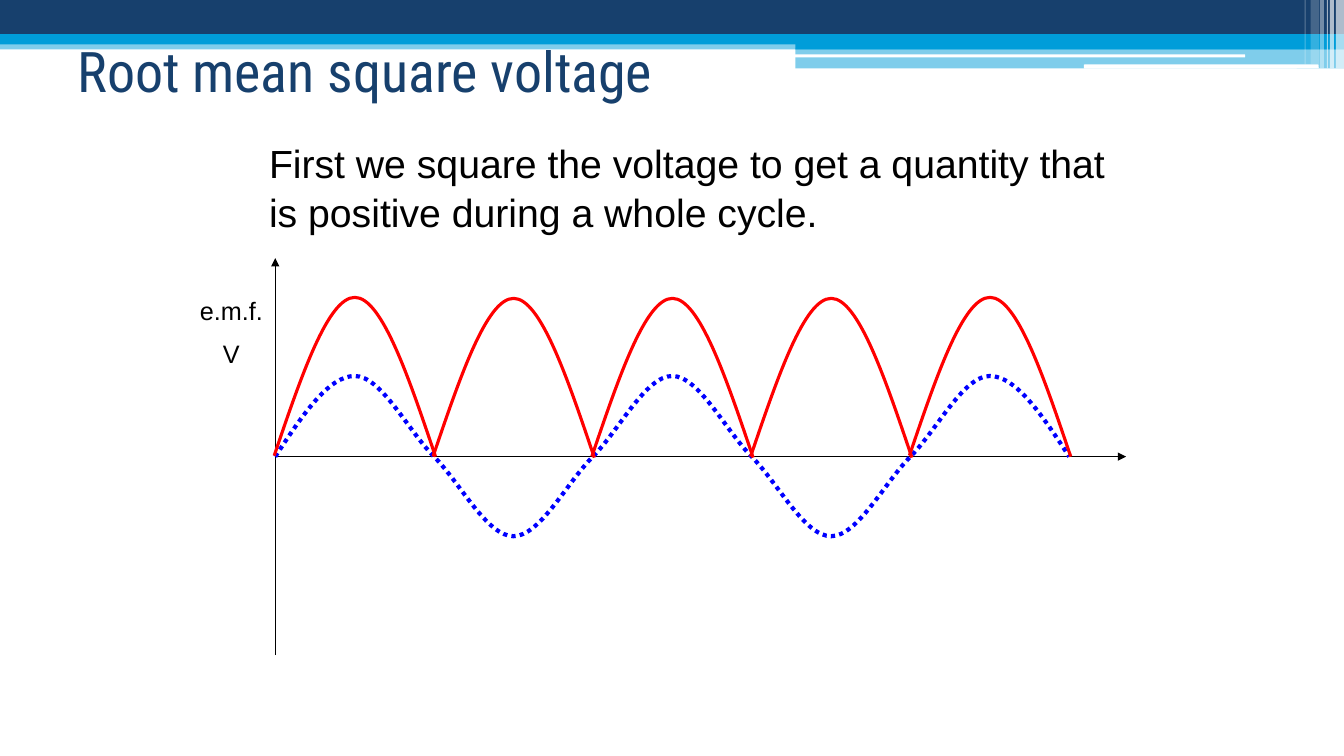
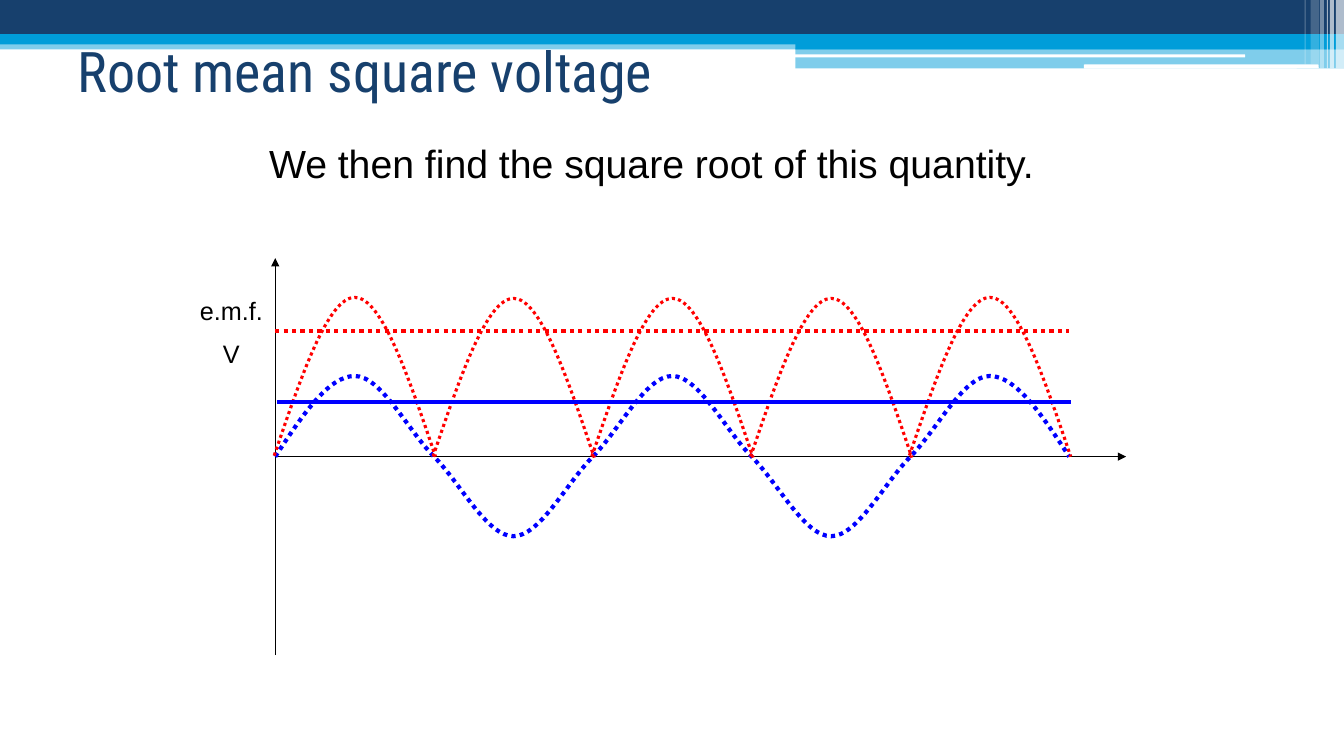
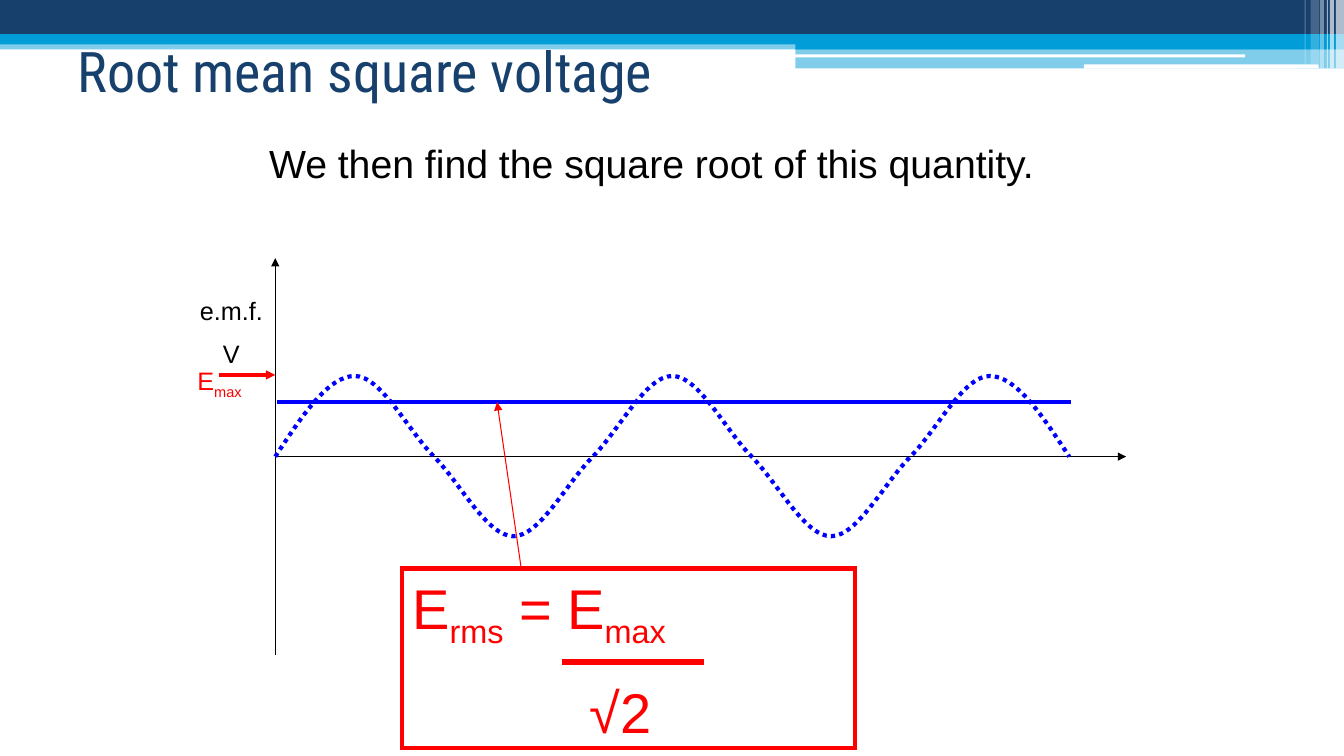
from lxml import etree
from pptx import Presentation
from pptx.dml.color import RGBColor
from pptx.enum.dml import MSO_LINE
from pptx.enum.shapes import MSO_CONNECTOR, MSO_SHAPE
from pptx.enum.text import MSO_ANCHOR, PP_ALIGN
from pptx.oxml.ns import qn
from pptx.util import Emu, Pt

RECT, ROUND = MSO_SHAPE.RECTANGLE, MSO_SHAPE.ROUNDED_RECTANGLE
STRAIGHT, DOT = MSO_CONNECTOR.STRAIGHT, MSO_LINE.ROUND_DOT
TOP, MIDDLE = MSO_ANCHOR.TOP, MSO_ANCHOR.MIDDLE
LEFT, CENTER = PP_ALIGN.LEFT, PP_ALIGN.CENTER

# Shared look: 100 px to the inch
SCALE = 9144
WIDE, HIGH = 1333, 750
NAVY, SKY, WHITE, BLACK = "17406D", "009DD9", "FFFFFF", "000000"
RED, BLUE = "FF0000", "0000FF"
BODY, HEAD = "Arial", "Roboto Condensed"

# Header bands: shape, box, colour, opacity in percent
BANDS = [
    (RECT, (0, 40, WIDE, 9), SKY, 50),
    (RECT, (0, 0, WIDE, 34), NAVY, 100),
    (RECT, (0, 34, WIDE, 10), SKY, 100),
    (RECT, (789, 39, 544, 10), SKY, 100),
    (RECT, (789, 48, 544, 20), SKY, 50),
    (ROUND, (788, 54, 447, 3), WHITE, 100),
    (ROUND, (1075, 64, 233, 4), WHITE, 100),
    (RECT, (1325, 0, 8, 68), WHITE, 65),
    (RECT, (1319, 0, 4, 68), WHITE, 65),
    (RECT, (1316, 0, 1, 68), WHITE, 60),
    (RECT, (1309, 0, 4, 68), WHITE, 40),
    (RECT, (1300, 0, 8, 64), WHITE, 20),
    (RECT, (1294, 0, 1, 64), WHITE, 30),
]

# Content
TITLE = "Root mean square voltage"
SQUARE = ("First we square the voltage to get a quantity that "
          "is positive during a whole cycle.")
ROOT = "We then find the square root of this quantity."
AXIS = [[("e.m.f.", False)], [("V", False)]]
PEAK = [[("E", False), ("max", True)]]
RMS = [[("E", False), ("rms", True), (" = E", False), ("max", True)],
       [("√2", False)]]

# body text, hump style (None: no humps), mean line, rms line, formula
SLIDES = [
    (SQUARE, "solid", False, False, False),
    (ROOT, "dotted", True, True, False),
    (ROOT, None, False, True, True),
]

# Graph geometry
ORIGIN, ZERO, HALF, COUNT = 273, 453, 157.5, 5
CREST, TROUGH = 373, 532
FEET, RISE, SPAN = [452, 453, 453, 453, 452], 157, 160


def px(n):
    return Emu(round(n * SCALE))


def rgb(code):
    return RGBColor.from_string(code)


def flat(shape, code, alpha=100):
    shape.shadow.inherit = False
    shape.line.fill.background()
    shape.fill.solid()
    shape.fill.fore_color.rgb = rgb(code)
    if alpha < 100:
        tint = shape.fill._xPr.find(qn("a:solidFill"))[0]
        etree.SubElement(tint, qn("a:alpha")).set("val", str(alpha * 1000))


def stroke(shape, code, width, dots=False):
    shape.line.color.rgb = rgb(code)
    shape.line.width = Pt(width)
    if dots:
        shape.line.dash_style = DOT


def line(slide, start, end, code, width, dots=False, arrow=False):
    link = slide.shapes.add_connector(STRAIGHT, *map(px, start + end))
    stroke(link, code, width, dots)
    if arrow:
        tail = etree.SubElement(link.line._get_or_add_ln(), qn("a:tailEnd"))
        tail.set("type", "triangle")
    etree.SubElement(link._element.spPr, qn("a:effectLst"))


def write(shape, paras, size, code, font=BODY, align=LEFT, anchor=TOP, gap=0):
    """Fill a shape with paragraphs made of (text, is subscript) runs."""
    frame = shape.text_frame
    frame.word_wrap = True
    frame.vertical_anchor = anchor
    for i, parts in enumerate(paras):
        para = frame.add_paragraph() if i else frame.paragraphs[0]
        para.alignment = align
        if i:
            para.space_before = Pt(gap)
        for text, low in parts:
            run = para.add_run()
            run.text = text
            run.font.name, run.font.size = font, Pt(size)
            run.font.color.rgb = rgb(code)
            if low:
                run._r.get_or_add_rPr().set("baseline", "-25000")
    return frame


def label(slide, box, paras, size, code, **look):
    shape = slide.shapes.add_textbox(*map(px, box))
    return write(shape, paras, size, code, **look)


def inset(para, left):
    props = para._p.get_or_add_pPr()
    props.set("marL", str(px(left)))
    props.set("indent", "0")


def curve(slide, left, step, levels, code, width, dots):
    """Draw a smooth cubic spline through evenly spaced levels."""
    last = len(levels) - 1
    slopes = [(levels[i + 1] - levels[i - 1]) / 2 for i in range(1, last)]
    slopes = [1.5 * (levels[1] - levels[0]), *slopes,
              1.5 * (levels[last] - levels[last - 1])]
    points = [(left, levels[0])]
    for i in range(last):
        x = left + i * step
        points += [(x + step / 3, levels[i] + slopes[i] / 3),
                   (x + step * 2 / 3, levels[i + 1] - slopes[i + 1] / 3),
                   (x + step, levels[i + 1])]
    points = [(px(x), px(y)) for x, y in points]
    path = slide.shapes.build_freeform(*points[0])
    path.add_line_segments(points[1:], close=False)
    shape = path.convert_to_shape()
    # Join each three straight steps into one cubic curve
    steps = list(shape._element.iter(qn("a:lnTo")))
    for i in range(0, len(steps), 3):
        bend = etree.SubElement(steps[i].getparent(), qn("a:cubicBezTo"))
        for part in steps[i:i + 3]:
            bend.append(part[0])
            part.getparent().remove(part)
    shape.shadow.inherit = False
    shape.fill.background()
    stroke(shape, code, width, dots)


def frame(slide, text):
    """Header bands, title and body text."""
    for kind, box, code, alpha in BANDS:
        flat(slide.shapes.add_shape(kind, *map(px, box)), code, alpha)
    label(slide, (67, 11, 1200, 117), [[(TITLE, False)]], 40, NAVY,
          font=HEAD, anchor=MIDDLE)
    body = label(slide, (217, 134, 900, 536), [[(text, False)]], 28, BLACK)
    body.margin_top = px(3)
    body.paragraphs[0].line_spacing = 1.03
    inset(body.paragraphs[0], 40)


def graph(slide, humps, mean, rms):
    line(slide, (ORIGIN, 650), (ORIGIN, 256), BLACK, 0.75, arrow=True)
    line(slide, (ORIGIN, ZERO), (1117, ZERO), BLACK, 0.75, arrow=True)
    label(slide, (186, 288, 87, 85), AXIS, 18, BLACK, align=CENTER, gap=9)
    wave = [ZERO]
    for i in range(COUNT):
        wave += [TROUGH if i % 2 else CREST, ZERO]
    curve(slide, ORIGIN, HALF / 2, wave, BLUE, 3, True)
    if humps:
        for i, foot in enumerate(FEET):
            curve(slide, ORIGIN - 1 + i * HALF, SPAN / 2,
                  [foot, foot - RISE, foot + 1], RED, 2.25, humps == "dotted")
    if mean:
        line(slide, (ORIGIN, 328), (1060, 328), RED, 3, dots=True)
    if rms:
        line(slide, (275, 399), (1062, 399), BLUE, 3)


def formula(slide):
    box = slide.shapes.add_shape(RECT, *map(px, (399, 564, 449, 178)))
    box.shadow.inherit = False
    box.fill.background()
    stroke(box, RED, 3)
    etree.SubElement(box.line._get_or_add_ln(), qn("a:miter"))
    text = write(box, RMS, 40, RED, gap=20)
    inset(text.paragraphs[1], 176)
    line(slide, (557, 657), (698, 657), RED, 4.5)
    line(slide, (517, 564), (493, 399), RED, 0.75, arrow=True)
    label(slide, (186, 358, 87, 40), PEAK, 18, RED)
    line(slide, (217, 372), (ORIGIN, 372), RED, 2.25, arrow=True)


def main():
    deck = Presentation()
    deck.slide_width, deck.slide_height = px(WIDE), px(HIGH)
    for text, humps, mean, rms, boxed in SLIDES:
        slide = deck.slides.add_slide(deck.slide_layouts[6])
        frame(slide, text)
        graph(slide, humps, mean, rms)
        if boxed:
            formula(slide)
    deck.save("out.pptx")


if __name__ == "__main__":
    main()
